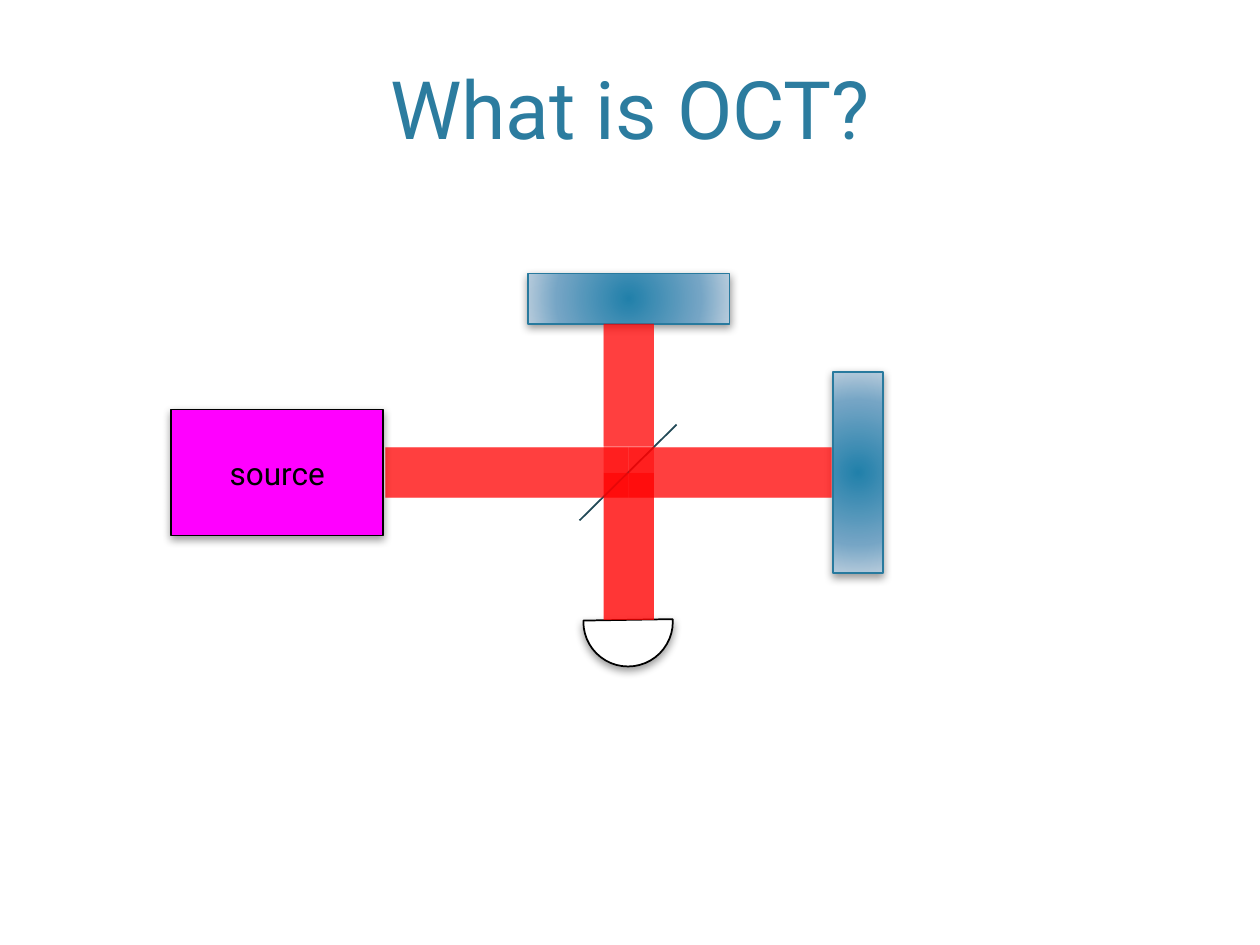
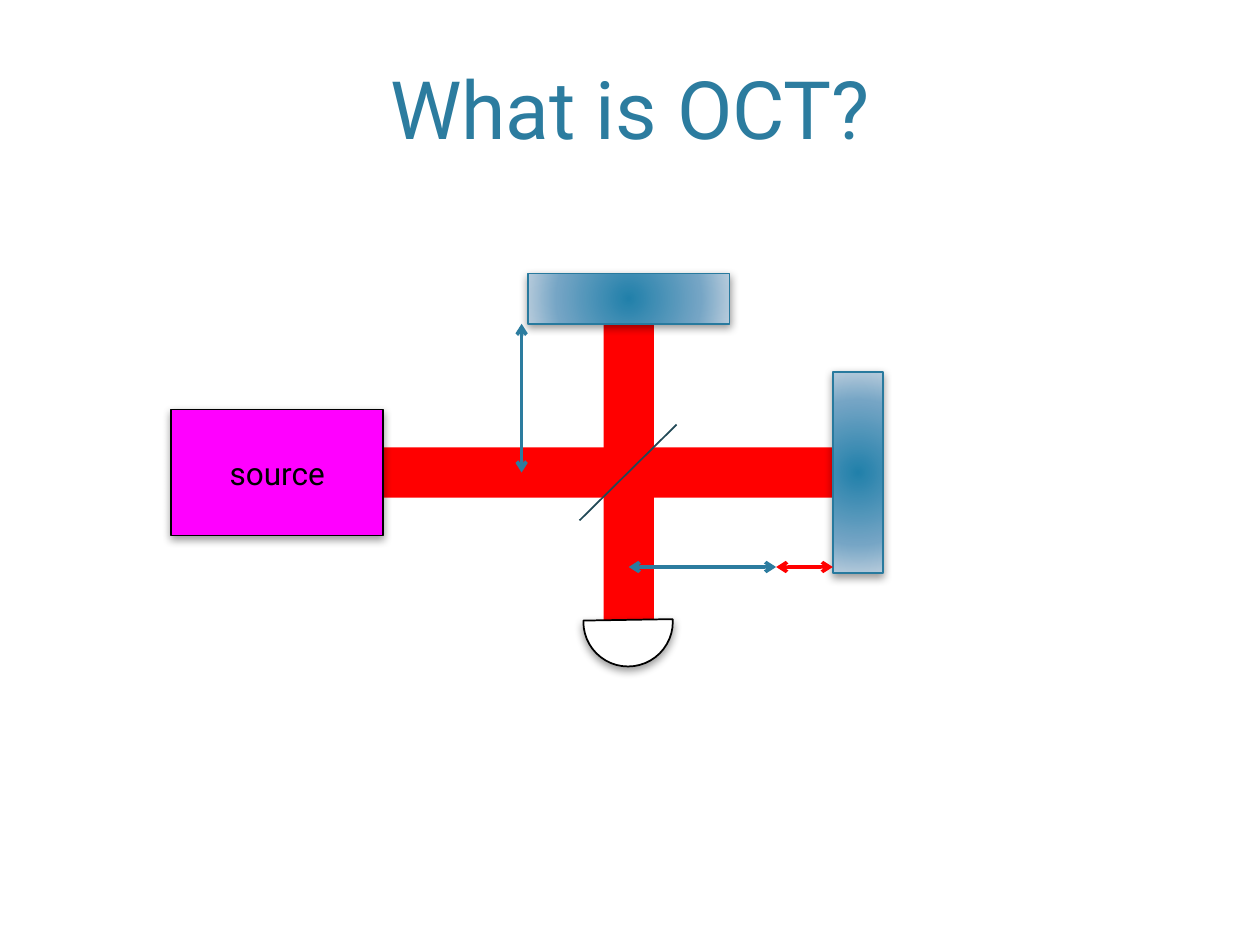
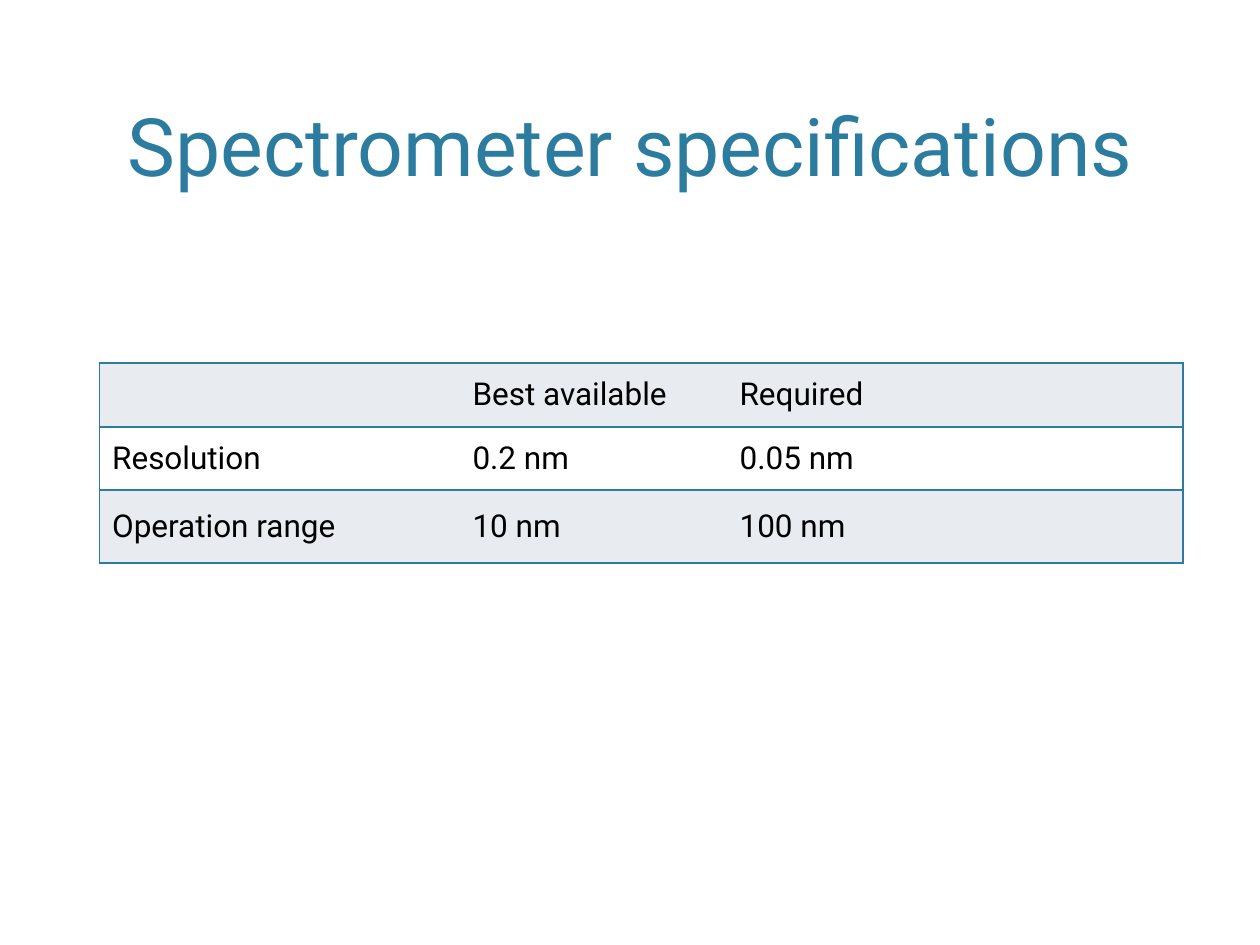
from dataclasses import dataclass

from lxml import etree
from pptx import Presentation
from pptx.dml.color import RGBColor
from pptx.enum.shapes import MSO_CONNECTOR, MSO_SHAPE
from pptx.enum.text import MSO_ANCHOR, MSO_AUTO_SIZE, PP_ALIGN
from pptx.oxml import parse_xml
from pptx.oxml.ns import nsdecls, qn
from pptx.util import Inches, Pt

RECTANGLE, CHORD = MSO_SHAPE.RECTANGLE, MSO_SHAPE.CHORD
STRAIGHT = MSO_CONNECTOR.STRAIGHT
MIDDLE, BOTTOM = MSO_ANCHOR.MIDDLE, MSO_ANCHOR.BOTTOM
LEFT, CENTER = PP_ALIGN.LEFT, PP_ALIGN.CENTER
NO_AUTOFIT = MSO_AUTO_SIZE.NONE
TITLE_ONLY = 5


@dataclass(frozen=True)
class Theme:
    """Colours, type sizes and line widths shared by the slides."""
    font: str = "Roboto"
    title_size: float = 46
    body_size: float = 18
    accent: str = "2C7C9F"
    black: str = "000000"
    white: str = "FFFFFF"
    band: str = "E8ECF0"
    beam: str = "FF0000"
    source: str = "FF00FF"
    splitter: str = "224957"
    mirror_line: str = "287A9E"
    mirror_stops: tuple = ((0, "2180AA"), (69, "75A5C5"), (100, "B8CCDC"))
    line_width: float = 1
    arrow_width: float = 2


@dataclass(frozen=True)
class Box:
    """A region in inches."""
    left: float
    top: float
    width: float
    height: float

    def inside(self, left, top, width, height):
        """Return a box placed relative to this one."""
        return Box(self.left + left, self.top + top, width, height)

    def lengths(self):
        """Return left, top, width and height as lengths."""
        return [Inches(value) for value in (self.left, self.top, self.width, self.height)]


THEME = Theme()
TITLE_BOX = Box(0.6, 0.12, 8.8, 1.46)
SETUP_BOX = Box(1.36, 2.17, 5.65, 3.12)
TABLE_BOX = Box(0.79, 2.88, 8.6, 1.59)
THICKNESS = 0.4
MIRROR_LENGTH = 1.6
CROSS_X, CROSS_Y = 3.63, 1.58
SOURCE_BEAM = ("across", 1.7, CROSS_X, 50)
SAMPLE_BEAM = ("across", CROSS_X, 5.24, 50)
HALF_BEAMS = (
    SAMPLE_BEAM,
    SAMPLE_BEAM,
    ("up", 0.4, 1.37, 50),
    ("up", 0.4, CROSS_Y, 50),
    ("up", CROSS_Y, 2.75, 79),
    SOURCE_BEAM,
)
SOLID_BEAMS = (("up", 0.4, 2.76, 100), ("across", 1.67, 5.25, 100))
COLUMN_WIDTHS = (2.86, 2.12, 3.62)
ROW_HEIGHTS = (0.51, 0.5, 0.58)
SPECIFICATIONS = (
    ("", "Best available", "Required"),
    ("Resolution", "0.2 nm", "0.05 nm"),
    ("Operation range", "10 nm", "100 nm"),
)


def write_text(frame, text, size=THEME.body_size, color=THEME.black, align=LEFT, anchor=MIDDLE):
    """Write one formatted paragraph into a text frame."""
    frame.vertical_anchor = anchor
    paragraph = frame.paragraphs[0]
    paragraph.alignment = align
    run = paragraph.add_run()
    run.text = text
    run.font.name = THEME.font
    run.font.size = Pt(size)
    run.font.color.rgb = RGBColor.from_string(color)


def add_shadow(shape):
    """Give a shape the soft shadow that falls below it."""
    effects = shape._element.spPr.find(qn("a:effectLst"))
    effects.append(parse_xml(
        f'<a:outerShdw {nsdecls("a")} blurRad="{Pt(5)}" dist="{Pt(2)}" dir="5400000" '
        f'rotWithShape="0"><a:srgbClr val="{THEME.black}"><a:alpha val="40000"/>'
        '</a:srgbClr></a:outerShdw>'))


def add_block(slide, kind, box, fill=None, line=None, opacity=100, shadow=False):
    """Add a preset shape with its fill, outline and shadow."""
    shape = slide.shapes.add_shape(kind, *box.lengths())
    shape.shadow.inherit = False
    if fill:
        shape.fill.solid()
        shape.fill.fore_color.rgb = RGBColor.from_string(fill)
        if opacity < 100:
            color = shape._element.spPr.find(".//" + qn("a:srgbClr"))
            etree.SubElement(color, qn("a:alpha"), val=str(opacity * 1000))
    if line:
        shape.line.color.rgb = RGBColor.from_string(line)
        shape.line.width = Pt(THEME.line_width)
    else:
        shape.line.fill.background()
    if shadow:
        add_shadow(shape)
    return shape


def add_line(slide, box, start, end, color, width=THEME.line_width, arrows=False):
    """Add a straight line between two points of a box."""
    points = [Inches(value) for x, y in (start, end) for value in (box.left + x, box.top + y)]
    connector = slide.shapes.add_connector(STRAIGHT, *points)
    connector.line.color.rgb = RGBColor.from_string(color)
    connector.line.width = Pt(width)
    if arrows:
        for end_name in ("a:headEnd", "a:tailEnd"):
            etree.SubElement(connector.line._get_or_add_ln(), qn(end_name), type="arrow")
    etree.SubElement(connector._element.spPr, qn("a:effectLst"))


def add_mirror(slide, box, center_x, center_y, rotation=0):
    """Add a mirror with a radial gradient around its centre."""
    place = box.inside(center_x - MIRROR_LENGTH / 2, center_y - THICKNESS / 2,
                       MIRROR_LENGTH, THICKNESS)
    mirror = add_block(slide, RECTANGLE, place, line=THEME.mirror_line, shadow=True)
    mirror.rotation = rotation
    stops = "".join(f'<a:gs pos="{position * 1000}"><a:srgbClr val="{color}"/></a:gs>'
                    for position, color in THEME.mirror_stops)
    gradient = parse_xml(
        f'<a:gradFill {nsdecls("a")} rotWithShape="1"><a:gsLst>{stops}</a:gsLst>'
        '<a:path path="circle"><a:fillToRect l="100000" t="100000" r="100000" b="100000"/>'
        '</a:path></a:gradFill>')
    mirror._element.spPr.find(qn("a:prstGeom")).addnext(gradient)


def add_beams(slide, box, beams):
    """Add light beams along the two arms that meet at the splitter."""
    for direction, start, end, opacity in beams:
        length, middle = end - start, (start + end) / 2
        across = direction == "across"
        center_x, center_y = (middle, CROSS_Y) if across else (CROSS_X, middle)
        place = box.inside(center_x - length / 2, center_y - THICKNESS / 2, length, THICKNESS)
        beam = add_block(slide, RECTANGLE, place, fill=THEME.beam, opacity=opacity)
        beam.rotation = 0 if across else 270


def add_interferometer(slide, box, back_beams=(), front_beams=()):
    """Add source, splitter, mirrors and detector between two layers of beams."""
    add_beams(slide, box, back_beams)
    source = add_block(slide, RECTANGLE, box.inside(0, 1.08, 1.68, 1),
                       fill=THEME.source, line=THEME.black, shadow=True)
    write_text(source.text_frame, "source", align=CENTER)
    add_line(slide, box, (3.24, 1.96), (4.01, 1.2), THEME.splitter)
    add_mirror(slide, box, CROSS_X, THICKNESS / 2)
    add_mirror(slide, box, 5.45, CROSS_Y, rotation=90)
    detector = add_block(slide, CHORD, box.inside(3.27, 2.41, 0.71, 0.71),
                         fill=THEME.white, line=THEME.black, shadow=True)
    detector.adjustments[0] = 213.99
    detector.adjustments[1] = 108.9
    add_beams(slide, box, front_beams)


def add_path_lengths(slide, box):
    """Add the arrows that compare the lengths of the two arms."""
    for start, end, color in (
        ((2.78, 0.4), (2.78, CROSS_Y), THEME.accent),
        ((4.8, 2.33), (5.25, 2.33), THEME.beam),
        ((CROSS_X, 2.33), (4.8, 2.33), THEME.accent),
    ):
        add_line(slide, box, start, end, color, width=THEME.arrow_width, arrows=True)


def set_borders(cell, sides):
    """Draw the named sides of a cell and clear the others."""
    properties = cell._tc.get_or_add_tcPr()
    for side in "LRTB":
        line = etree.SubElement(properties, qn(f"a:ln{side}"), w=str(Pt(THEME.line_width)))
        if side in sides:
            fill = etree.SubElement(line, qn("a:solidFill"))
            etree.SubElement(fill, qn("a:srgbClr"), val=THEME.accent)
        else:
            etree.SubElement(line, qn("a:noFill"))


def add_specification_table(slide, box):
    """Add the banded table of spectrometer values."""
    frame = slide.shapes.add_table(len(ROW_HEIGHTS), len(COLUMN_WIDTHS), *box.lengths())
    table = frame.table
    table.first_row = table.horz_banding = False
    for column, width in zip(table.columns, COLUMN_WIDTHS):
        column.width = Inches(width)
    last_column = len(COLUMN_WIDTHS) - 1
    for row_index, (height, texts) in enumerate(zip(ROW_HEIGHTS, SPECIFICATIONS)):
        table.rows[row_index].height = Inches(height)
        for column_index, text in enumerate(texts):
            cell = table.cell(row_index, column_index)
            set_borders(cell, "TB" + {0: "L", last_column: "R"}.get(column_index, ""))
            cell.fill.solid()
            cell.fill.fore_color.rgb = RGBColor.from_string(
                THEME.white if row_index % 2 else THEME.band)
            cell.vertical_anchor = MIDDLE
            if text:
                write_text(cell.text_frame, text)
                cell.vertical_anchor = MIDDLE


def add_titled_slide(presentation, title, anchor=MIDDLE):
    """Add a title-only slide and format its title."""
    slide = presentation.slides.add_slide(presentation.slide_layouts[TITLE_ONLY])
    placeholder = slide.shapes.title
    placeholder.left, placeholder.top, placeholder.width, placeholder.height = TITLE_BOX.lengths()
    placeholder.text_frame.auto_size = NO_AUTOFIT
    write_text(placeholder.text_frame, title, size=THEME.title_size, color=THEME.accent,
               align=CENTER, anchor=anchor)
    return slide


def main():
    """Build and save the presentation."""
    presentation = Presentation()
    presentation.slide_width, presentation.slide_height = Inches(10), Inches(7.5)

    slide = add_titled_slide(presentation, "What is OCT?")
    add_interferometer(slide, SETUP_BOX, back_beams=(SOURCE_BEAM,), front_beams=HALF_BEAMS)

    slide = add_titled_slide(presentation, "What is OCT?")
    add_interferometer(slide, SETUP_BOX, back_beams=SOLID_BEAMS)
    add_path_lengths(slide, SETUP_BOX)

    slide = add_titled_slide(presentation, "Spectrometer specifications", anchor=BOTTOM)
    add_specification_table(slide, TABLE_BOX)

    presentation.save("out.pptx")


if __name__ == "__main__":
    main()
